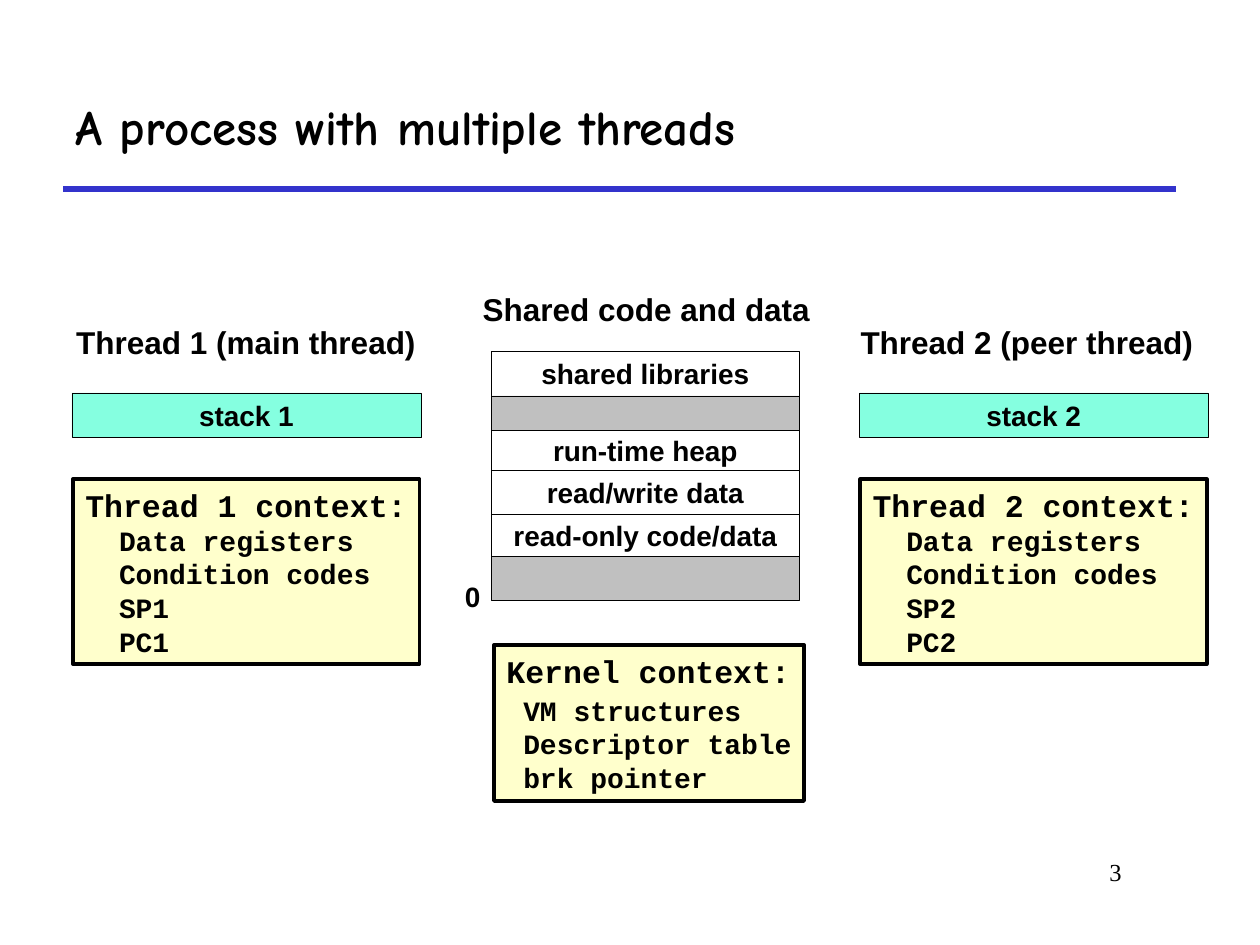
from dataclasses import dataclass

from lxml.etree import SubElement
from pptx import Presentation
from pptx.dml.color import RGBColor
from pptx.enum.shapes import MSO_CONNECTOR, MSO_SHAPE
from pptx.enum.text import MSO_ANCHOR, PP_ALIGN
from pptx.oxml.ns import qn
from pptx.util import Cm, Pt


@dataclass(frozen=True)
class Theme:
    ink: str = "000000"
    rule: str = "3333CC"
    plain: str = "FFFFFF"
    unused: str = "C0C0C0"
    stack: str = "85FFE0"
    context: str = "FFFFCC"
    sans: str = "Arial"
    mono: str = "Courier New"
    serif: str = "Times New Roman"
    hand: str = "Comic Neue"
    title_size: int = 28
    heading_size: int = 18
    body_size: int = 16
    number_size: int = 14
    thin: float = 0.25
    thick: float = 2
    rule_width: float = 3


THEME = Theme()


def color(code):
    return RGBColor.from_string(code)


def add_run(paragraph, text, size, font, bold=True):
    run = paragraph.add_run()
    run.text = text
    run.font.size = Pt(size)
    run.font.name = font
    run.font.bold = bold
    run.font.color.rgb = color(THEME.ink)


def add_label(slide, text, left, top, width, height, size=THEME.body_size,
              font=THEME.sans, align=PP_ALIGN.LEFT, bold=True, wrap=False):
    label = slide.shapes.add_textbox(Cm(left), Cm(top), Cm(width), Cm(height))
    frame = label.text_frame
    frame.word_wrap = wrap
    paragraph = frame.paragraphs[0]
    paragraph.alignment = align
    add_run(paragraph, text, size, font, bold)
    return label


def add_heading(slide, text, center, top):
    width = 7.6
    add_label(slide, text, center - width / 2, top, width, 1.02,
              THEME.heading_size, align=PP_ALIGN.CENTER)


def add_box(slide, left, top, width, height, fill, line_width):
    box = slide.shapes.add_shape(MSO_SHAPE.RECTANGLE, Cm(left), Cm(top),
                                 Cm(width), Cm(height))
    box.shadow.inherit = False
    box.fill.solid()
    box.fill.fore_color.rgb = color(fill)
    box.line.color.rgb = color(THEME.ink)
    box.line.width = Pt(line_width)
    box.text_frame.word_wrap = False
    box.text_frame.vertical_anchor = MSO_ANCHOR.MIDDLE
    return box


def add_region(slide, text, left, top, width, height, fill):
    region = add_box(slide, left, top, width, height, fill, THEME.thin)
    if text:
        paragraph = region.text_frame.paragraphs[0]
        paragraph.alignment = PP_ALIGN.CENTER
        add_run(paragraph, text, THEME.body_size, THEME.sans)


def add_context(slide, heading, details, left, top, width, height, indent, first_gap=0):
    context = add_box(slide, left, top, width, height, THEME.context, THEME.thick)
    frame = context.text_frame
    paragraph = frame.paragraphs[0]
    paragraph.alignment = PP_ALIGN.LEFT
    add_run(paragraph, heading, THEME.heading_size, THEME.mono)
    for index, detail in enumerate(details):
        paragraph = frame.add_paragraph()
        paragraph.alignment = PP_ALIGN.LEFT
        paragraph.space_before = Pt(0 if index else first_gap)
        paragraph._p.get_or_add_pPr().set("marL", str(Cm(indent)))
        add_run(paragraph, detail, THEME.body_size, THEME.mono)


def add_rule(slide, left, right, y):
    rule = slide.shapes.add_connector(MSO_CONNECTOR.STRAIGHT, Cm(left), Cm(y),
                                      Cm(right), Cm(y))
    rule.line.color.rgb = color(THEME.rule)
    rule.line.width = Pt(THEME.rule_width)
    SubElement(rule._element.spPr, qn("a:effectLst"))


def add_thread(slide, number, role, left, heading_center):
    add_heading(slide, f"Thread {number} ({role} thread)", heading_center, 6.38)
    add_region(slide, f"stack {number}", left, 7.92, 7.04, 0.89, THEME.stack)
    registers = ["Data registers", "Condition codes", f"SP{number}", f"PC{number}"]
    add_context(slide, f"Thread {number} context:", registers,
                left + 0.02, 9.66, 6.99, 3.73, indent=0.68)


def add_memory(slide):
    add_heading(slide, "Shared code and data", 13.03, 5.72)
    regions = [
        ("shared libraries", 0.89),
        ("", 0.69),
        ("run-time heap", 0.81),
        ("read/write data", 0.89),
        ("read-only code/data", 0.84),
        ("", 0.89),
    ]
    top = 7.09
    for text, height in regions:
        fill = THEME.plain if text else THEME.unused
        add_region(slide, text, 9.91, top, 6.2, height, fill)
        top += height
    add_label(slide, "0", 9.12, 11.56, 0.81, 0.94)


def main():
    presentation = Presentation()
    presentation.slide_width = Cm(25.4)
    presentation.slide_height = Cm(19.05)
    slide = presentation.slides.add_slide(presentation.slide_layouts[6])

    # Title, rule and page number
    add_rule(slide, 1.27, 23.7, 3.81)
    title = add_label(slide, "A process with multiple threads", 1.27, 1.27, 22.43, 2.54,
                      THEME.title_size, THEME.hand, wrap=True)
    title.text_frame.vertical_anchor = MSO_ANCHOR.MIDDLE
    add_label(slide, "3", 19.25, 17.15, 3.61, 1.27, THEME.number_size,
              THEME.serif, PP_ALIGN.RIGHT, bold=False, wrap=True)

    # Private state of each thread
    add_thread(slide, 1, "main", 1.45, 4.96)
    add_thread(slide, 2, "peer", 17.32, 20.7)

    # State shared by both threads
    add_memory(slide)
    add_context(slide, "Kernel context:",
                ["VM structures", "Descriptor table", "brk pointer"],
                9.96, 13, 6.25, 3.15, indent=0.34, first_gap=2)

    presentation.save("out.pptx")


if __name__ == "__main__":
    main()
